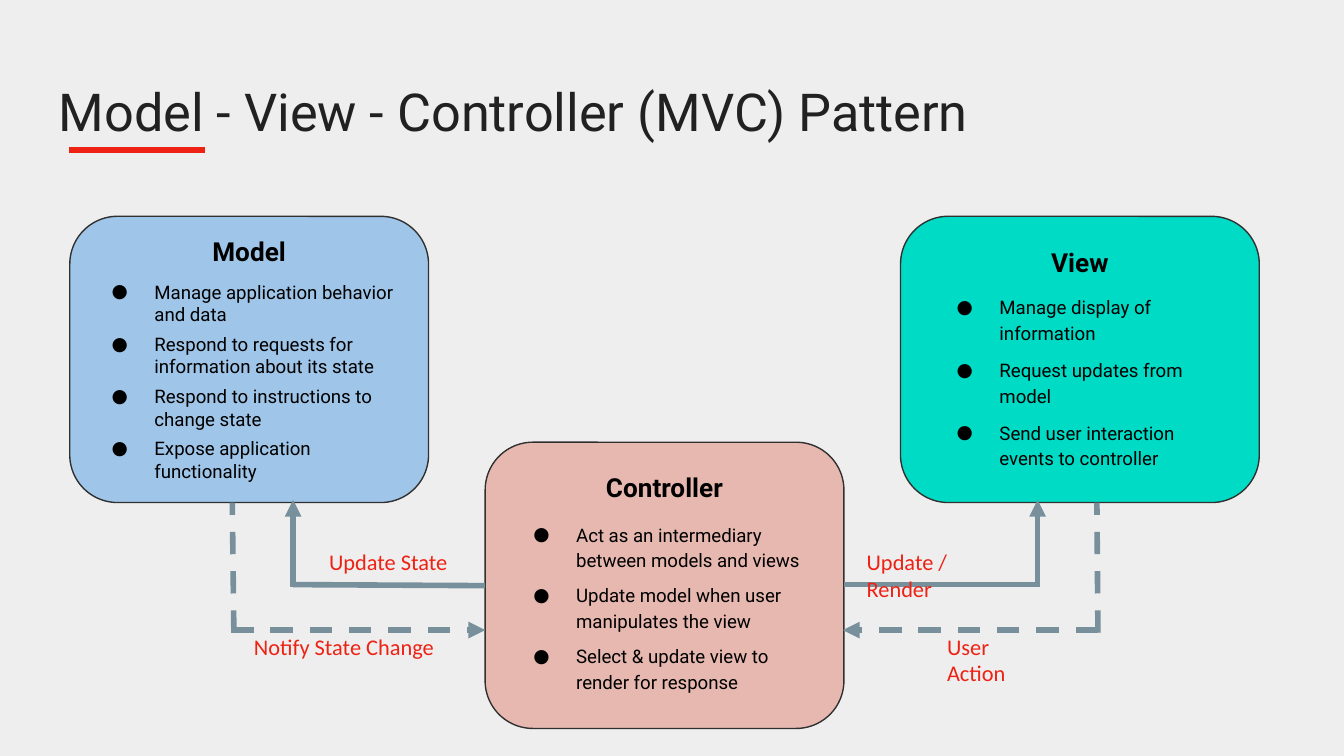
from lxml import etree
from pptx import Presentation
from pptx.dml.color import RGBColor
from pptx.enum.dml import MSO_LINE
from pptx.enum.shapes import MSO_CONNECTOR, MSO_SHAPE
from pptx.enum.text import MSO_ANCHOR, MSO_AUTO_SIZE, PP_ALIGN
from pptx.oxml.ns import qn
from pptx.util import Cm, Pt

ROUNDED = MSO_SHAPE.ROUNDED_RECTANGLE
STRAIGHT = MSO_CONNECTOR.STRAIGHT
DASH = MSO_LINE.DASH
TOP = MSO_ANCHOR.TOP
LEFT, CENTER = PP_ALIGN.LEFT, PP_ALIGN.CENTER
NO_AUTOFIT = MSO_AUTO_SIZE.NONE

BACKGROUND = RGBColor(0xEE, 0xEE, 0xEE)
BLACK = RGBColor(0, 0, 0)
TITLE_GREY = RGBColor(0x21, 0x21, 0x21)
OUTLINE = RGBColor(0x30, 0x30, 0x30)
RED = RGBColor(0xEE, 0x22, 0x14)
ARROW_GREY = RGBColor(0x78, 0x90, 0x9C)
MODEL_BLUE = RGBColor(0x9F, 0xC5, 0xE8)
VIEW_GREEN = RGBColor(0x00, 0xDB, 0xC6)
CONTROLLER_PINK = RGBColor(0xE6, 0xB8, 0xAF)

CARD_W, CARD_H = 6.78, 5.41
INSET = 0.25

# Component: name, fill, card corner, heading inset, bullet box, spacing, points
COMPONENTS = [
    ("Model", MODEL_BLUE, (1.32, 4.09), 0.1, (1.4, 5.05, 6.68, 1.78), 1.0, 4,
     ["Manage application behavior and data",
      "Respond to requests for information about its state",
      "Respond to instructions to change state",
      "Expose application functionality"]),
    ("View", VIEW_GREEN, (17.02, 4.09), 0.31, (17.37, 5.28, 6.07, 3.48), 1.15, 6,
     ["Manage display of information",
      "Request updates from model",
      "Send user interaction events to controller"]),
    ("Controller", CONTROLLER_PINK, (9.17, 8.36), 0.29, (9.37, 9.58, 6.07, 3.63), 1.15, 5,
     ["Act as an intermediary between models and views",
      "Update model when user manipulates the view",
      "Select & update view to render for response"]),
]

# Flow line: start, end, dashed, arrowhead
FLOWS = [
    ((19.61, 11.1), (19.61, 9.45), False, True),
    ((15.95, 11.05), (19.61, 11.05), False, False),
    ((20.75, 11.91), (15.93, 11.91), True, True),
    ((20.75, 11.96), (20.73, 9.5), True, False),
    ((4.37, 11.91), (9.17, 11.91), True, True),
    ((4.42, 11.96), (4.39, 9.5), True, False),
    ((5.54, 11.1), (5.54, 9.45), False, True),
    ((5.54, 11.05), (9.17, 11.07), False, False),
]

LABELS = [
    ("Update / Render", (16.13, 10.11, 3.25, 0.99)),
    ("User Action", (17.65, 11.71, 2.49, 0.79)),
    ("Notify State Change", (4.55, 11.71, 3.99, 0.79)),
    ("Update State", (5.97, 10.11, 3.02, 0.99)),
]


def prepare_frame(frame, top=INSET):
    frame.word_wrap = True
    frame.auto_size = NO_AUTOFIT
    frame.vertical_anchor = TOP
    frame.margin_left = frame.margin_right = frame.margin_bottom = Cm(INSET)
    frame.margin_top = Cm(top)


def add_run(paragraph, text, size, color, font="Roboto", bold=False):
    run = paragraph.add_run()
    run.text = text
    run.font.name = font
    run.font.size = Pt(size)
    run.font.bold = bold
    run.font.color.rgb = color


def add_bullet(paragraph):
    properties = paragraph._p.get_or_add_pPr()
    properties.set("marL", str(Cm(1.27)))
    properties.set("indent", str(Cm(-0.81)))
    bullet_color = etree.SubElement(properties, qn("a:buClr"))
    etree.SubElement(bullet_color, qn("a:srgbClr"), val=str(BLACK))
    etree.SubElement(properties, qn("a:buFont"), typeface="Roboto")
    etree.SubElement(properties, qn("a:buChar"), char="●")


def add_title(slide, text):
    title = slide.shapes.title
    title.left, title.top, title.width, title.height = map(Cm, (0.86, 1.24, 23.67, 1.6))
    prepare_frame(title.text_frame)
    paragraph = title.text_frame.paragraphs[0]
    paragraph.alignment = LEFT
    add_run(paragraph, text, 28, TITLE_GREY)


def add_component(slide, name, fill, corner, heading_inset, points_box, spacing, gap, points):
    # Card with its heading
    card = slide.shapes.add_shape(ROUNDED, *map(Cm, (*corner, CARD_W, CARD_H)))
    card.shadow.inherit = False
    card.fill.solid()
    card.fill.fore_color.rgb = fill
    card.line.color.rgb = OUTLINE
    card.line.width = Pt(0.75)
    prepare_frame(card.text_frame, heading_inset)
    heading = card.text_frame.paragraphs[0]
    heading.alignment = CENTER
    add_run(heading, name, 14, BLACK, bold=True)

    # Bulleted responsibilities
    frame = slide.shapes.add_textbox(*map(Cm, points_box)).text_frame
    prepare_frame(frame)
    for index, point in enumerate(points):
        paragraph = frame.add_paragraph() if index else frame.paragraphs[0]
        add_bullet(paragraph)
        paragraph.line_spacing = spacing
        if index:
            paragraph.space_before = Pt(gap)
        add_run(paragraph, point, 10, BLACK)


def add_line(slide, start, end, color, dashed=False, arrow=False):
    connector = slide.shapes.add_connector(STRAIGHT, *map(Cm, (*start, *end)))
    connector.line.color.rgb = color
    connector.line.width = Pt(3)
    if dashed:
        connector.line.dash_style = DASH
    if arrow:
        etree.SubElement(connector.line._get_or_add_ln(), qn("a:tailEnd"), type="triangle")
    etree.SubElement(connector._element.spPr, qn("a:effectLst"))


def add_label(slide, text, box):
    frame = slide.shapes.add_textbox(*map(Cm, box)).text_frame
    prepare_frame(frame)
    add_run(frame.paragraphs[0], text, 12, RED, font="Calibri")


def main():
    presentation = Presentation()
    presentation.slide_width, presentation.slide_height = Cm(25.4), Cm(14.29)
    slide = presentation.slides.add_slide(presentation.slide_layouts[5])
    slide.background.fill.solid()
    slide.background.fill.fore_color.rgb = BACKGROUND

    # Title and its red underline
    add_title(slide, "Model - View - Controller (MVC) Pattern")
    add_line(slide, (1.3, 2.84), (3.88, 2.84), RED)

    # Components, the flows between them and the flow labels
    for component in COMPONENTS:
        add_component(slide, *component)
    for start, end, dashed, arrow in FLOWS:
        add_line(slide, start, end, ARROW_GREY, dashed, arrow)
    for text, box in LABELS:
        add_label(slide, text, box)

    presentation.save("out.pptx")


if __name__ == "__main__":
    main()
